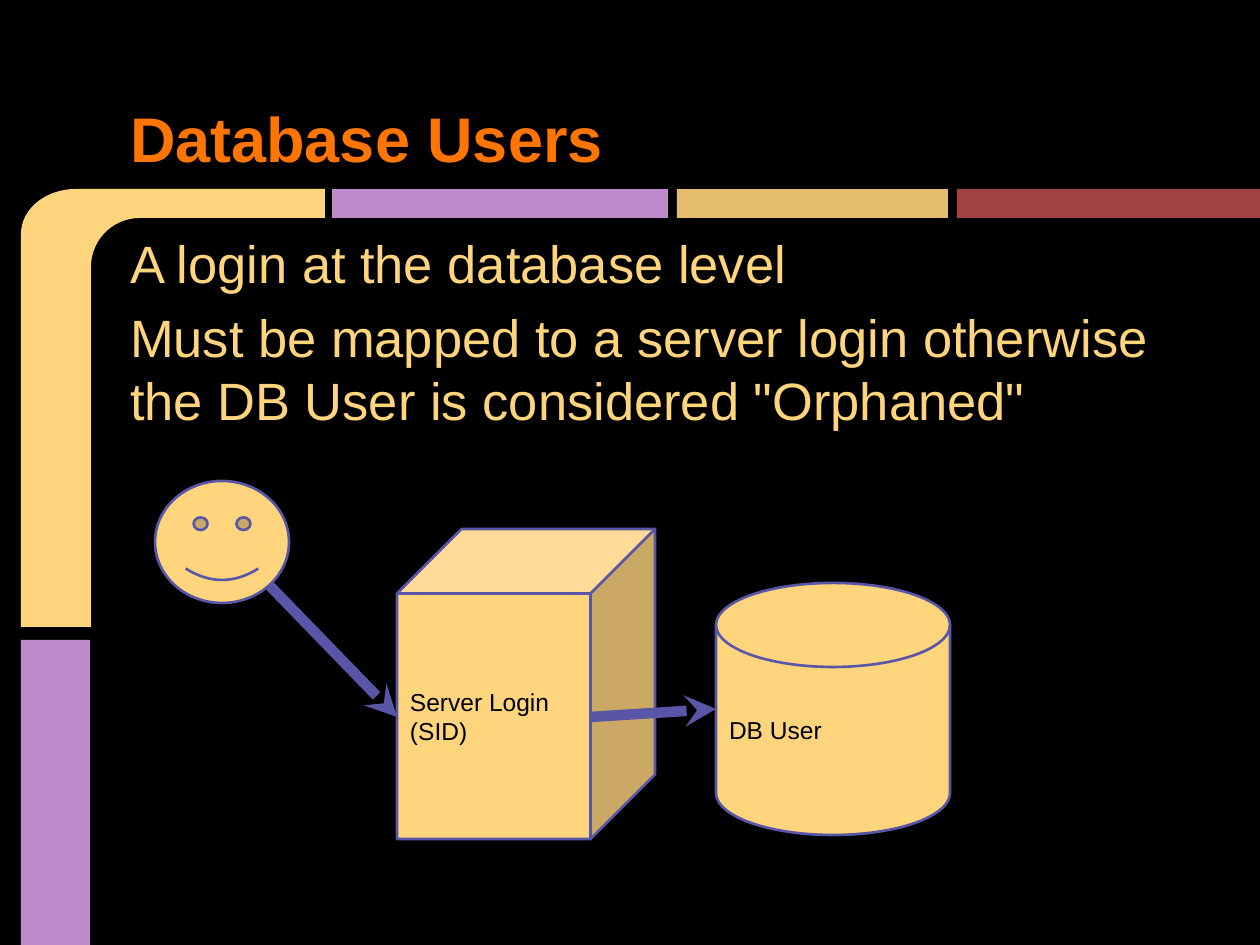
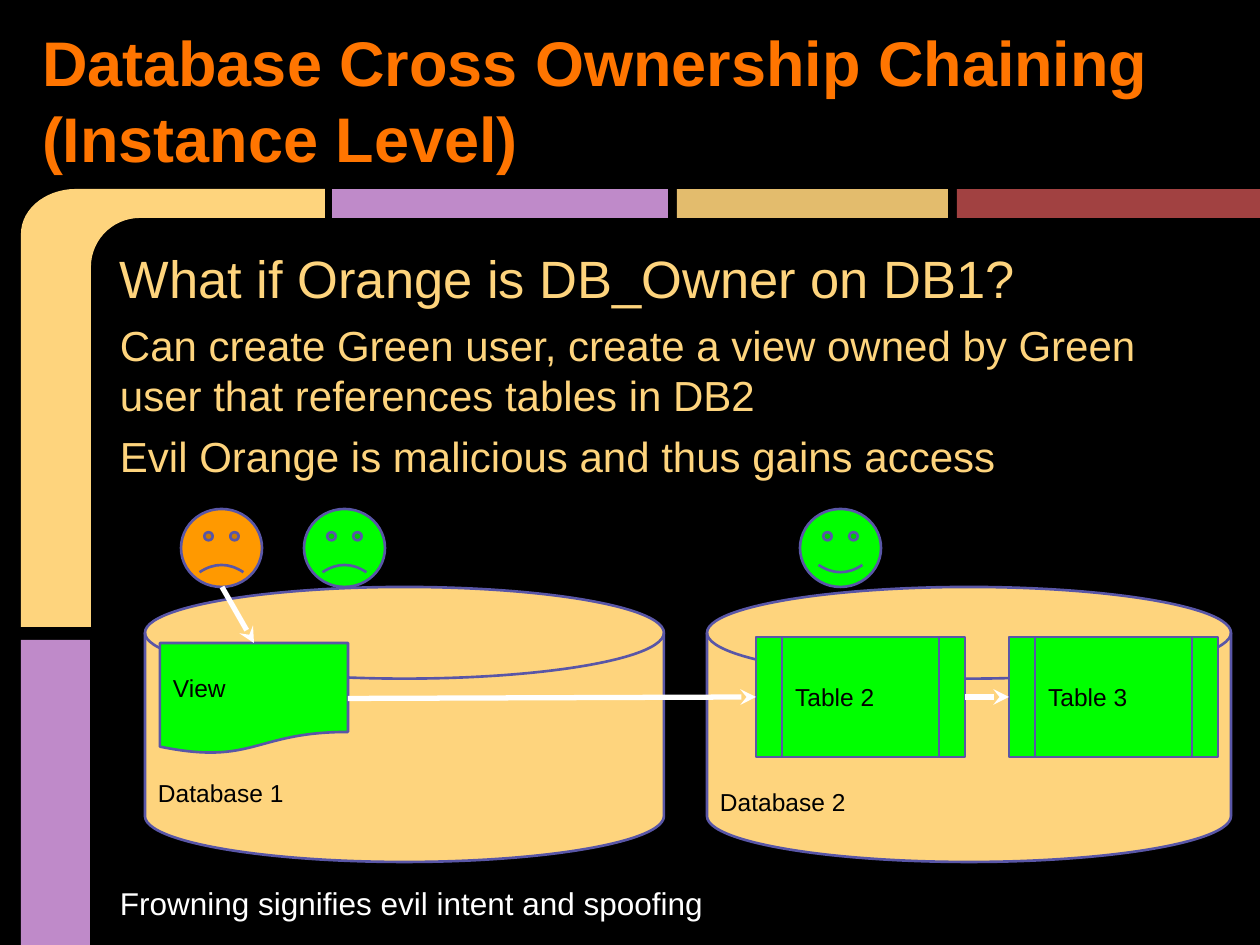
"""Builds two slides on database users and cross-database ownership chaining."""
from math import cos, radians, sin

from lxml.etree import SubElement
from pptx import Presentation
from pptx.dml.color import RGBColor
from pptx.enum.shapes import MSO_CONNECTOR, MSO_SHAPE as SHAPE
from pptx.enum.text import MSO_ANCHOR as ANCHOR, MSO_AUTO_SIZE, PP_ALIGN
from pptx.oxml.ns import qn
from pptx.util import Pt

FONT = "Arial"
BLACK, WHITE = "000000", "FFFFFF"
SAND, LILAC, TAN, BRICK = "FED47D", "BF8AC9", "E3BC6D", "A14141"
TITLE_ORANGE, FACE_ORANGE, GREEN, OUTLINE = "FF7500", "FF9900", "00FF00", "5956A7"
SLIDE_WIDTH, SLIDE_HEIGHT = 1260, 945
EMU_PER_PX = 914400 / 126
INSET = 13
SMILE, FROWN = 0.047, -0.047

BANDS = [
    ((21, 640, 69, 305), LILAC),
    ((332, 189, 336, 29), LILAC),
    ((677, 189, 271, 29), TAN),
    ((957, 189, 303, 29), BRICK),
]

USERS = {
    "title": ("Database Users", (117, 30, 1079, 158)),
    "body_box": (117, 218, 1079, 688),
    "body": [
        ("A login at the database level", 30),
        ('Must be mapped to a server login otherwise the DB User is considered "Orphaned"', 30),
    ],
    "person": (155, 481, 134, 122),
    "login": ("Server Login\n(SID)", (397, 529, 258, 310)),
    "db_user": ("DB User", (716, 583, 234, 252)),
    "arrows": [((270, 586), (397, 717)), ((591, 717), (716, 709))],
}

CHAINING = {
    "title": ("Database Cross Ownership Chaining\n(Instance Level)", (29, 30, 1202, 158)),
    "body_box": (107, 233, 1079, 688),
    "body": [
        ("What if Orange is DB_Owner on DB1?", 30),
        ("Can create Green user, create a view owned by Green user that references tables in DB2", 24),
        ("Evil Orange is malicious and thus gains access", 24),
    ],
    "faces": [(181, FACE_ORANGE, FROWN), (304, GREEN, FROWN), (800, GREEN, SMILE)],
    "databases": [("Database 1", (145, 587, 519, 275), 9), ("Database 2", (707, 587, 524, 275), 0)],
    "view": ("View", (160, 643, 188, 111)),
    "tables": [("Table 2", 756), ("Table 3", 1009)],
    "caption": ("Frowning signifies evil intent and spoofing", (107, 871, 919, 74)),
}


def px(length):
    return round(length * EMU_PER_PX)


def emu(lengths):
    return [px(length) for length in lengths]


def color(hex_code):
    return RGBColor.from_string(hex_code)


def paint(shape, fill, outline=None):
    shape.shadow.inherit = False
    shape.fill.solid()
    shape.fill.fore_color.rgb = color(fill)
    if outline:
        shape.line.color.rgb = color(outline)
        shape.line.width = Pt(1.5)
    else:
        shape.line.fill.background()


def set_frame(frame, anchor, bottom=INSET):
    frame.word_wrap = True
    frame.auto_size = MSO_AUTO_SIZE.NONE
    frame.vertical_anchor = anchor
    frame.margin_left = frame.margin_top = frame.margin_right = px(INSET)
    frame.margin_bottom = px(bottom)


def style(paragraph, size, hex_code, bold=False):
    paragraph.alignment = PP_ALIGN.LEFT
    font = paragraph.font
    font.name, font.size, font.bold = FONT, Pt(size), bold
    font.color.rgb = color(hex_code)


def write(shape, text, size, hex_code, anchor, bold=False, bottom=INSET):
    frame = shape.text_frame
    set_frame(frame, anchor, bottom)
    frame.text = text
    for paragraph in frame.paragraphs:
        style(paragraph, size, hex_code, bold)


def remove_bullet(paragraph):
    properties = paragraph._p.get_or_add_pPr()
    properties.set("marL", "0")
    properties.set("indent", "0")
    no_bullet = properties.makeelement(qn("a:buNone"), {})
    properties.insert_element_before(no_bullet, "a:tabLst", "a:defRPr", "a:extLst")


def place(shape, box):
    shape.left, shape.top, shape.width, shape.height = emu(box)


def arc(center_x, center_y, radius_x, radius_y, angles):
    return [
        (center_x + radius_x * cos(radians(a)), center_y + radius_y * sin(radians(a)))
        for a in angles
    ]


def draw_bands(slide):
    outer = arc(76, 234, 55, 45, range(180, 271, 6))
    inner = arc(140, 267, 49, 49, range(270, 179, -6))
    corner = [(21, 627), *outer, (325, 189), (325, 218), *inner]
    builder = slide.shapes.build_freeform(px(91), px(627))
    builder.add_line_segments([emu(point) for point in corner], close=True)
    paint(builder.convert_to_shape(), SAND)
    for box, fill in BANDS:
        paint(slide.shapes.add_shape(SHAPE.RECTANGLE, *emu(box)), fill)


def add_slide(deck, content):
    slide = deck.slides.add_slide(deck.slide_layouts[1])
    draw_bands(slide)
    title, title_box = content["title"]
    place(slide.shapes.title, title_box)
    write(slide.shapes.title, title, 36, TITLE_ORANGE, ANCHOR.BOTTOM, bold=True)

    body = slide.placeholders[1]
    place(body, content["body_box"])
    frame = body.text_frame
    set_frame(frame, ANCHOR.TOP)
    frame.text = "\n".join(text for text, _ in content["body"])
    for paragraph, (_, size) in zip(frame.paragraphs, content["body"]):
        style(paragraph, size, SAND)
        paragraph.space_before = Pt(6)
        remove_bullet(paragraph)
    return slide


def add_part(slide, kind, box, fill, label="", anchor=ANCHOR.MIDDLE, bottom=INSET):
    part = slide.shapes.add_shape(kind, *emu(box))
    paint(part, fill, OUTLINE)
    if label:
        write(part, label, 14, BLACK, anchor, bottom=bottom)
    return part


def add_face(slide, box, fill, mouth):
    face = add_part(slide, SHAPE.SMILEY_FACE, box, fill)
    face.adjustments[0] = mouth


def add_arrow(slide, start, end, hex_code, width):
    arrow = slide.shapes.add_connector(MSO_CONNECTOR.STRAIGHT, *emu(start), *emu(end))
    arrow.line.color.rgb = color(hex_code)
    arrow.line.width = Pt(width)
    properties = arrow.element.spPr
    SubElement(properties.find(qn("a:ln")), qn("a:tailEnd"), type="stealth")
    SubElement(properties, qn("a:effectLst"))
    return arrow


def build_users(deck):
    slide = add_slide(deck, USERS)
    db_user, db_user_box = USERS["db_user"]
    login, login_box = USERS["login"]
    add_part(slide, SHAPE.FLOWCHART_MAGNETIC_DISK, db_user_box, SAND, db_user)
    add_face(slide, USERS["person"], SAND, SMILE)
    add_part(slide, SHAPE.CUBE, login_box, SAND, login)
    for start, end in USERS["arrows"]:
        add_arrow(slide, start, end, OUTLINE, 6)


def build_chaining(deck):
    slide = add_slide(deck, CHAINING)
    for left, fill, mouth in CHAINING["faces"]:
        add_face(slide, (left, 509, 81, 78), fill, mouth)
    for name, box, bottom in CHAINING["databases"]:
        add_part(slide, SHAPE.FLOWCHART_MAGNETIC_DISK, box, SAND, name, ANCHOR.BOTTOM, bottom)
    table_2, table_3 = [
        add_part(slide, SHAPE.FLOWCHART_PREDEFINED_PROCESS, (left, 637, 209, 120), GREEN, name)
        for name, left in CHAINING["tables"]
    ]
    view_name, view_box = CHAINING["view"]
    view = add_part(slide, SHAPE.FLOWCHART_DOCUMENT, view_box, GREEN, view_name)

    attack = add_arrow(slide, (222, 587), (254, 643), WHITE, 3)
    attack.end_connect(view, 0)
    for source, target in [(view, table_2), (table_2, table_3)]:
        reference = add_arrow(slide, (348, 698), (756, 697), WHITE, 3)
        reference.begin_connect(source, 3)
        reference.end_connect(target, 1)

    caption, caption_box = CHAINING["caption"]
    write(slide.shapes.add_textbox(*emu(caption_box)), caption, 18, WHITE, ANCHOR.TOP)


def main():
    deck = Presentation()
    deck.slide_width, deck.slide_height = px(SLIDE_WIDTH), px(SLIDE_HEIGHT)
    backdrop = deck.slide_master.background.fill
    backdrop.solid()
    backdrop.fore_color.rgb = color(BLACK)
    build_users(deck)
    build_chaining(deck)
    deck.save("out.pptx")


if __name__ == "__main__":
    main()
